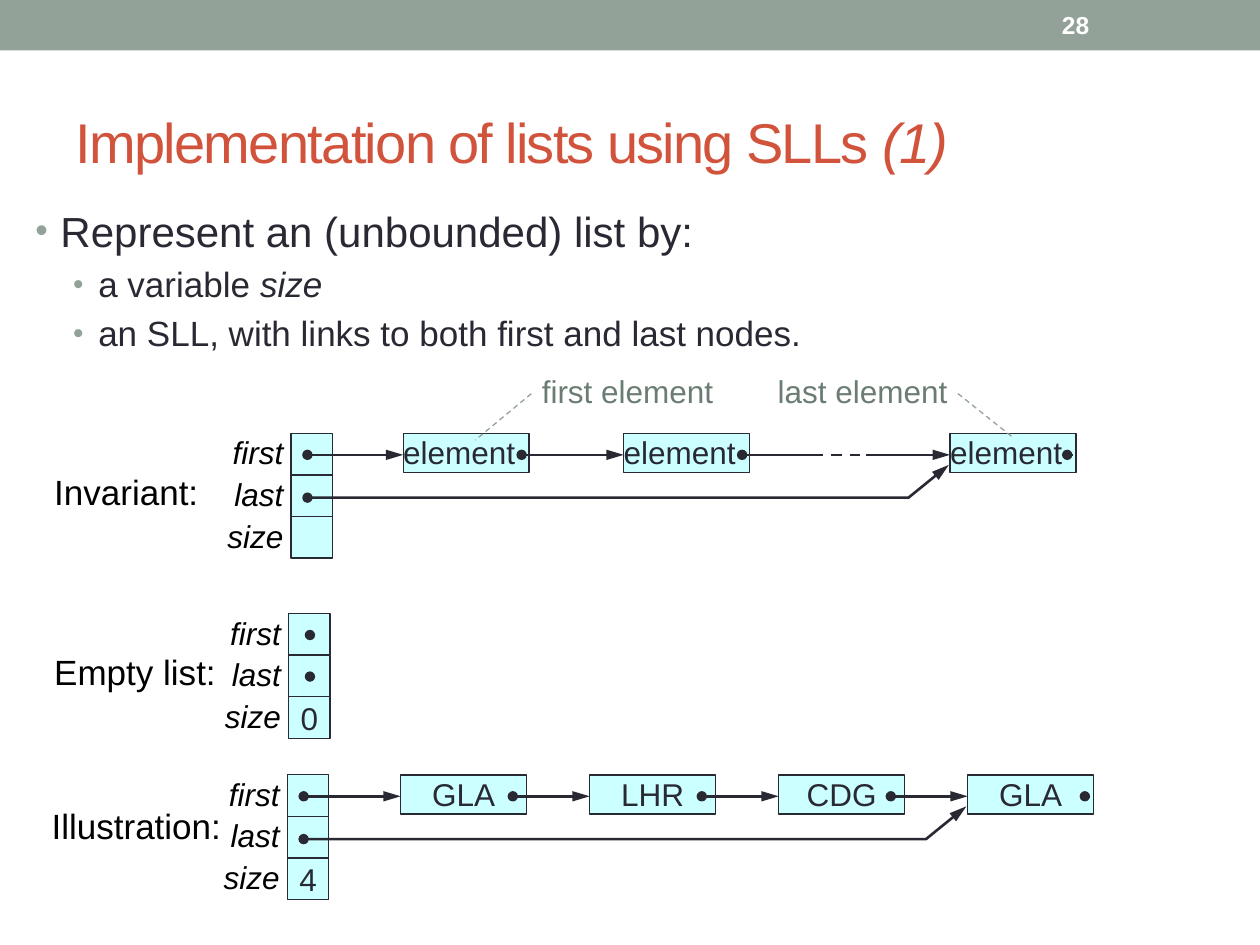
from dataclasses import dataclass

from lxml.etree import SubElement
from pptx import Presentation
from pptx.dml.color import RGBColor
from pptx.enum.dml import MSO_LINE
from pptx.enum.shapes import MSO_CONNECTOR, MSO_SHAPE
from pptx.enum.text import MSO_ANCHOR, MSO_AUTO_SIZE, PP_ALIGN
from pptx.oxml.ns import qn
from pptx.util import Inches, Pt

SAGE = RGBColor(0x93, 0xA2, 0x99)
MOSS = RGBColor(0x6B, 0x7D, 0x72)
RUST = RGBColor(0xD2, 0x53, 0x3C)
INK = RGBColor(0x29, 0x29, 0x34)
CYAN = RGBColor(0xCC, 0xFF, 0xFF)
BLACK = RGBColor(0, 0, 0)
WHITE = RGBColor(0xFF, 0xFF, 0xFF)

STEP = 0.33      # height of one field of a list head
NODE_W, NODE_H = 1, 0.31
MID = 0.17       # link height below the top of a node
FIELDS = ("first", "last", "size")


@dataclass
class Chain:
    """A list head, its nodes and the links between them."""
    name: str
    name_at: tuple[float, float]
    left: float
    top: float
    size: str = ""
    nodes: tuple[tuple[float, str], ...] = ()
    align: PP_ALIGN = PP_ALIGN.LEFT
    dot: float = 0.94
    gap: tuple[float, float] | None = None


@dataclass
class Note:
    """A callout that points at a node."""
    text: str
    left: float
    align: PP_ALIGN
    aim: tuple[float, ...]


def write(para, text: str, *, size: float = 18, color: RGBColor = INK,
          bold: bool = False, italic: bool = False, align=None,
          lead: float | None = None, track: int = 0):
    """Add a run of formatted text to a paragraph."""
    run = para.add_run()
    run.text = text
    font = run.font
    font.name, font.size = "Arial", Pt(size)
    font.bold, font.italic = bold, italic
    font.color.rgb = color
    if align is not None:
        para.alignment = align
    if lead:
        para.line_spacing = Pt(lead)
    if track:
        run._r.get_or_add_rPr().set("spc", str(track))


def place(item, left: float, top: float, width: float, height: float):
    """Move and size a shape."""
    item.left, item.top = Inches(left), Inches(top)
    item.width, item.height = Inches(width), Inches(height)


def setup(item, anchor=MSO_ANCHOR.TOP, inset: float | None = 0):
    """Prepare a text frame and return its first paragraph."""
    frame = item.text_frame
    frame.word_wrap = True
    frame.auto_size = MSO_AUTO_SIZE.NONE
    frame.vertical_anchor = anchor
    if inset is not None:
        frame.margin_left = frame.margin_right = Inches(inset)
        frame.margin_top = frame.margin_bottom = Inches(inset)
    return frame.paragraphs[0]


def label(shapes, text: str, box: tuple, *, anchor=MSO_ANCHOR.TOP,
          inset: float | None = 0, **form):
    """Add a text box."""
    item = shapes.add_textbox(*map(Inches, box))
    write(setup(item, anchor, inset), text, **form)


def cell(shapes, box: tuple, text: str = "", align=PP_ALIGN.CENTER,
         anchor=MSO_ANCHOR.TOP):
    """Add a cyan box with optional text."""
    item = shapes.add_shape(MSO_SHAPE.RECTANGLE, *map(Inches, box))
    item.shadow.inherit = False
    item.fill.solid()
    item.fill.fore_color.rgb = CYAN
    item.line.color.rgb = INK
    item.line.width = Pt(0.75)
    if text:
        write(setup(item, anchor), text, align=align)


def link(shapes, *points: tuple[float, float], dot: bool = True,
         arrow: bool = True, dash: bool = False):
    """Draw a straight or bent link with a dot and an arrowhead."""
    spots = [(Inches(x), Inches(y)) for x, y in points]
    if len(spots) == 2:
        item = shapes.add_connector(MSO_CONNECTOR.STRAIGHT, *spots[0], *spots[1])
        SubElement(item._element.spPr, qn("a:effectLst"))
    else:
        path = shapes.build_freeform(*spots[0])
        path.add_line_segments(spots[1:], close=False)
        item = path.convert_to_shape()
        item.shadow.inherit = False
        item.fill.background()
    item.line.color.rgb = INK
    item.line.width = Pt(1.5)
    if dash:
        item.line.dash_style = MSO_LINE.DASH
    line = item.line._get_or_add_ln()
    if dot:
        SubElement(line, qn("a:headEnd"), type="oval")
    if arrow:
        SubElement(line, qn("a:tailEnd"), type="triangle", w="med", len="lg")


def draw(slide, chain: Chain):
    """Draw one list as a group."""
    shapes = slide.shapes.add_group_shape().shapes
    left, top = chain.left, chain.top
    label(shapes, chain.name, (*chain.name_at, 1.35, 0.28),
          size=20, color=BLACK, lead=20)
    for row, field in enumerate(FIELDS):
        y = top + row * STEP
        cell(shapes, (left, y, STEP, STEP), chain.size if field == "size" else "",
             anchor=MSO_ANCHOR.MIDDLE)
        label(shapes, field, (left - 0.53, y, 0.47, 0.3), color=BLACK,
              italic=True, align=PP_ALIGN.RIGHT)
    for x, text in chain.nodes:
        cell(shapes, (x, top, NODE_W, NODE_H), text, chain.align)

    y = top + MID
    if not chain.nodes:
        for row in range(2):
            x, low = left + MID, y + row * STEP
            link(shapes, (x, low), (x + 0.04, low), arrow=False)
        return
    ends = [x for x, _ in chain.nodes]
    starts = [left + 0.13] + [x + chain.dot for x in ends[:-1]]
    for start, end in zip(starts, ends):
        if chain.gap and end == ends[-1]:
            stop, go = chain.gap
            link(shapes, (start, y), (stop, y), arrow=False)
            link(shapes, (stop, y), (go, y), dot=False, arrow=False, dash=True)
            link(shapes, (go, y), (end, y), dot=False)
        else:
            link(shapes, (start, y), (end, y))
    last = ends[-1]
    link(shapes, (last + 0.93, y), (last + 0.97, y), arrow=False)
    link(shapes, (starts[0], top + 0.51), (last - 0.33, top + 0.51),
         (last - 0.01, top + 0.25))


def point(slide, note: Note):
    """Draw a callout with a dashed leader."""
    item = slide.shapes.add_shape(MSO_SHAPE.LINE_CALLOUT_1_NO_BORDER, Inches(note.left),
                                  Inches(3), Inches(1.39), Inches(0.29))
    item.shadow.inherit = False
    item.fill.background()
    item.line.color.rgb = SAGE
    item.line.width = Pt(0.75)
    item.line.dash_style = MSO_LINE.DASH
    for i, value in enumerate(note.aim):
        item.adjustments[i] = value
    write(setup(item), note.text, color=MOSS, align=note.align, lead=18)


def bullet(para, level: int):
    """Give a paragraph its level, indent and bullet."""
    para.level = level
    para.space_before = Pt(4.8 - 0.8 * level)
    props = para._p.get_or_add_pPr()
    props.set("marL", str(Inches(0.2 + 0.3 * level)))
    props.set("indent", str(Inches(-0.2)))
    tint = SubElement(props, qn("a:buClr"))
    SubElement(tint, qn("a:srgbClr"), val=str(SAGE))
    SubElement(props, qn("a:buSzPct"), val="85000")
    SubElement(props, qn("a:buFont"), typeface="Arial")
    SubElement(props, qn("a:buChar"), char="•")


BULLETS = (
    (0, "Represent an (unbounded) list by:", ""),
    (1, "a variable ", "size"),
    (1, "an SLL, with links to both first and last nodes.", ""),
)
CHAINS = (
    Chain("Invariant:", (0.43, 3.79), 2.31, 3.44, gap=(6.45, 6.87),
          nodes=tuple((x, "element") for x in (3.2, 4.95, 7.54))),
    Chain("Empty list:", (0.43, 5.22), 2.29, 4.87, "0"),
    Chain("Illustration:", (0.41, 6.44), 2.28, 6.15, "4", align=PP_ALIGN.CENTER, dot=0.89,
          nodes=tuple((3.18 + 1.5 * i, code)
                      for i, code in enumerate(("GLA", "LHR", "CDG", "GLA")))),
)
NOTES = (
    Note("first element", 4.3, PP_ALIGN.LEFT, (0.43, -0.06, 1.7, -0.38)),
    Note("last element", 6.13, PP_ALIGN.RIGHT, (0.43, 1.06, 1.65, 1.38)),
)

deck = Presentation()
deck.slide_width, deck.slide_height = Inches(10), Inches(7.5)
slide = deck.slides.add_slide(deck.slide_layouts[1])

band = slide.shapes.add_shape(MSO_SHAPE.RECTANGLE, 0, 0, Inches(10), Inches(0.4))
band.shadow.inherit = False
band.fill.solid()
band.fill.fore_color.rgb = SAGE
band.line.fill.background()

title, body = slide.placeholders
place(title, 0.5, 0.58, 9, 1.08)
head = setup(title, MSO_ANCHOR.MIDDLE, None)
for text, slant in (("Implementation of lists using SLLs ", False), ("(1)", True)):
    write(head, text, size=32, color=RUST, italic=slant, align=PP_ALIGN.LEFT, track=-100)

place(body, 0.18, 1.58, 8.33, 5.25)
para = setup(body, inset=None)
for i, (level, text, term) in enumerate(BULLETS):
    para = para if i == 0 else body.text_frame.add_paragraph()
    bullet(para, level)
    write(para, text, size=24 - 4 * level)
    if term:
        write(para, term, size=20, italic=True)

for chain in CHAINS:
    draw(slide, chain)
for note in NOTES:
    point(slide, note)
label(slide.shapes, "28", (8.33, 0.02, 1.17, 0.36), anchor=MSO_ANCHOR.MIDDLE,
      inset=None, size=14, color=WHITE, bold=True)
deck.save("out.pptx")
